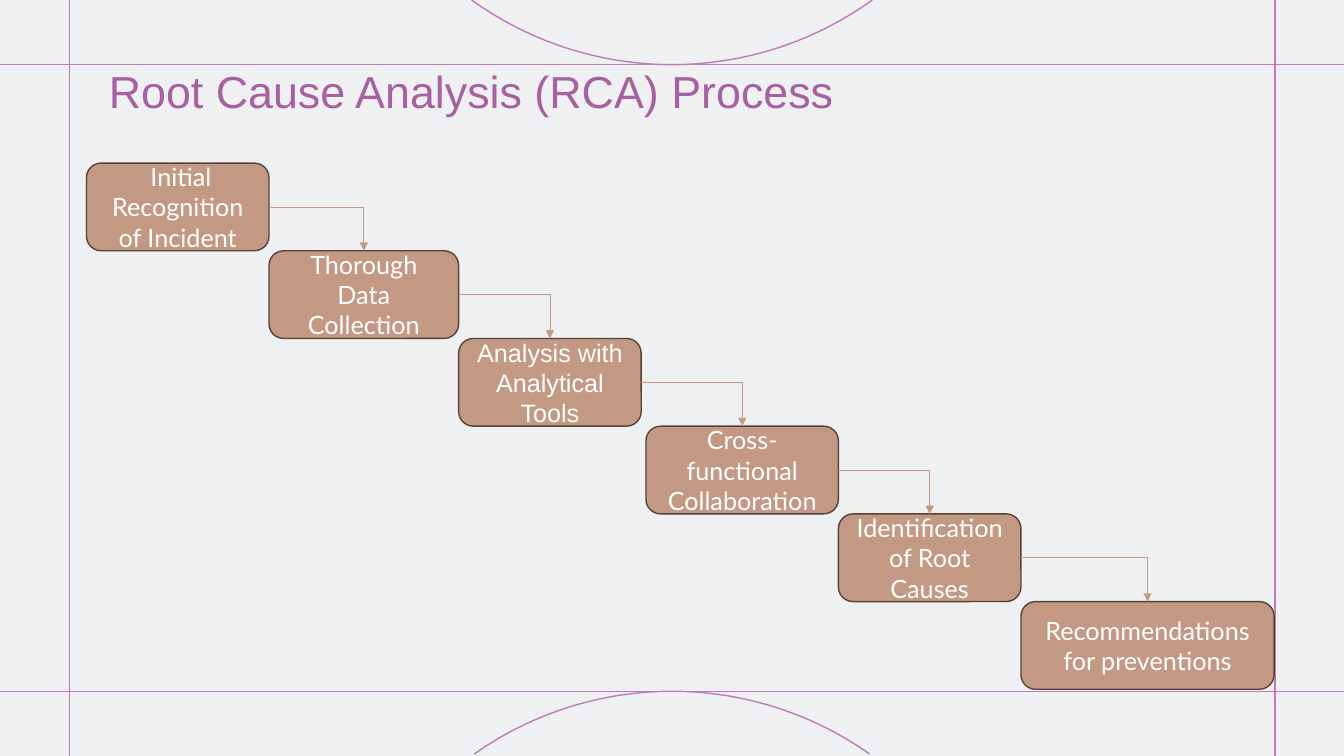
import math
from lxml import etree
from pptx import Presentation
from pptx.dml.color import RGBColor
from pptx.enum.shapes import MSO_CONNECTOR, MSO_SHAPE
from pptx.enum.text import MSO_ANCHOR, PP_ALIGN
from pptx.oxml.ns import qn
from pptx.util import Cm, Pt

STRAIGHT, ELBOW = MSO_CONNECTOR.STRAIGHT, MSO_CONNECTOR.ELBOW
ROUNDED = MSO_SHAPE.ROUNDED_RECTANGLE
MIDDLE = MSO_ANCHOR.MIDDLE
LEFT, CENTER = PP_ALIGN.LEFT, PP_ALIGN.CENTER
RIGHT_SIDE, TOP_SIDE = 3, 0

TITLE = " Root Cause Analysis (RCA) Process"
STEPS = [
    (" Initial Recognition of Incident", "Lato", 0, 4.6),
    ("Thorough Data Collection", "Lato", 0, 4.78),
    ("Analysis with Analytical Tools", "Arial", 0, 4.6),
    ("Cross-functional Collaboration", "Lato", 0.12, 4.85),
    ("Identification of Root Causes", "Lato", 0, 4.6),
    ("Recommendations for preventions", "Lato", 0, 6.38),
]
COLORS = {"background": "EEF0F1", "frame": "BF7AB9", "title": "A861A0",
          "step": "C39983", "outline": "554339", "step_text": "FFFFFF"}

WIDTH, HEIGHT = 33.87, 19.05
FRAME_TOP, FRAME_BOTTOM = 1.63, 17.42
FRAME_LEFT, FRAME_RIGHT = 1.75, 32.13
ARC_RADIUS, ARC_POINTS = 8.64, 60
STEP_LEFT, STEP_TOP, STEP_HEIGHT = 2.18, 4.11, 2.21

deck = Presentation()
deck.slide_width, deck.slide_height = Cm(WIDTH), Cm(HEIGHT)
slide = deck.slides.add_slide(deck.slide_layouts[6])


def color(name):
    return RGBColor.from_string(COLORS[name])


def set_line(part, name, width):
    part.line.color.rgb = color(name)
    part.line.width = Pt(width)


def add_line(kind, x1, y1, x2, y2, name, width):
    line = slide.shapes.add_connector(kind, Cm(x1), Cm(y1), Cm(x2), Cm(y2))
    set_line(line, name, width)
    etree.SubElement(line._element.spPr, qn("a:effectLst"))
    return line


def add_arc(tip, direction, half_chord):
    sweep = math.asin(half_chord / ARC_RADIUS)
    angles = [sweep * (2 * i / ARC_POINTS - 1) for i in range(ARC_POINTS + 1)]
    points = [(Cm(WIDTH / 2 + ARC_RADIUS * math.sin(a)),
               Cm(tip + direction * ARC_RADIUS * (1 - math.cos(a))))
              for a in angles]
    builder = slide.shapes.build_freeform(*points[0])
    builder.add_line_segments(points[1:], close=False)
    arc = builder.convert_to_shape()
    arc.shadow.inherit = False
    arc.fill.background()
    set_line(arc, "frame", 1)


def write(part, text, font, size, name, align):
    part.text_frame.word_wrap = True
    part.text_frame.vertical_anchor = MIDDLE
    paragraph = part.text_frame.paragraphs[0]
    paragraph.alignment = align
    run = paragraph.add_run()
    run.text = text
    run.font.name, run.font.size = font, Pt(size)
    run.font.color.rgb = color(name)


def add_step(index, left, width, text, font):
    step = slide.shapes.add_shape(
        ROUNDED, Cm(left), Cm(STEP_TOP + index * STEP_HEIGHT),
        Cm(width), Cm(STEP_HEIGHT))
    step.shadow.inherit = False
    step.fill.solid()
    step.fill.fore_color.rgb = color("step")
    set_line(step, "outline", 1)
    write(step, text, font, 18, "step_text", CENTER)
    return step


def join_steps(start, end):
    arrow = add_line(ELBOW, 0, 0, 1, 1, "step", 0.5)
    arrow.begin_connect(start, RIGHT_SIDE)
    arrow.end_connect(end, TOP_SIDE)
    properties = arrow._element.spPr
    properties.find(qn("a:prstGeom")).set("prst", "bentConnector2")
    etree.SubElement(properties.find(qn("a:ln")), qn("a:tailEnd"), type="triangle")


slide.background.fill.solid()
slide.background.fill.fore_color.rgb = color("background")
for y in (FRAME_BOTTOM, FRAME_TOP):
    add_line(STRAIGHT, 0, y, WIDTH, y, "frame", 1)
for x in (FRAME_RIGHT, FRAME_LEFT):
    add_line(STRAIGHT, x, HEIGHT, x, 0, "frame", 1)
add_arc(FRAME_TOP, -1, 5.05)
add_arc(FRAME_BOTTOM, 1, 4.98)

steps = []
left = STEP_LEFT
for index, (text, font, gap, width) in enumerate(STEPS):
    left += gap
    steps.append(add_step(index, left, width, text, font))
    left += width
for start, end in zip(steps, steps[1:]):
    join_steps(start, end)

title = slide.shapes.add_textbox(Cm(STEP_LEFT), Cm(1.37), Cm(19.48), Cm(1.83))
write(title, TITLE, "Arial", 32, "title", LEFT)

deck.save("out.pptx")
